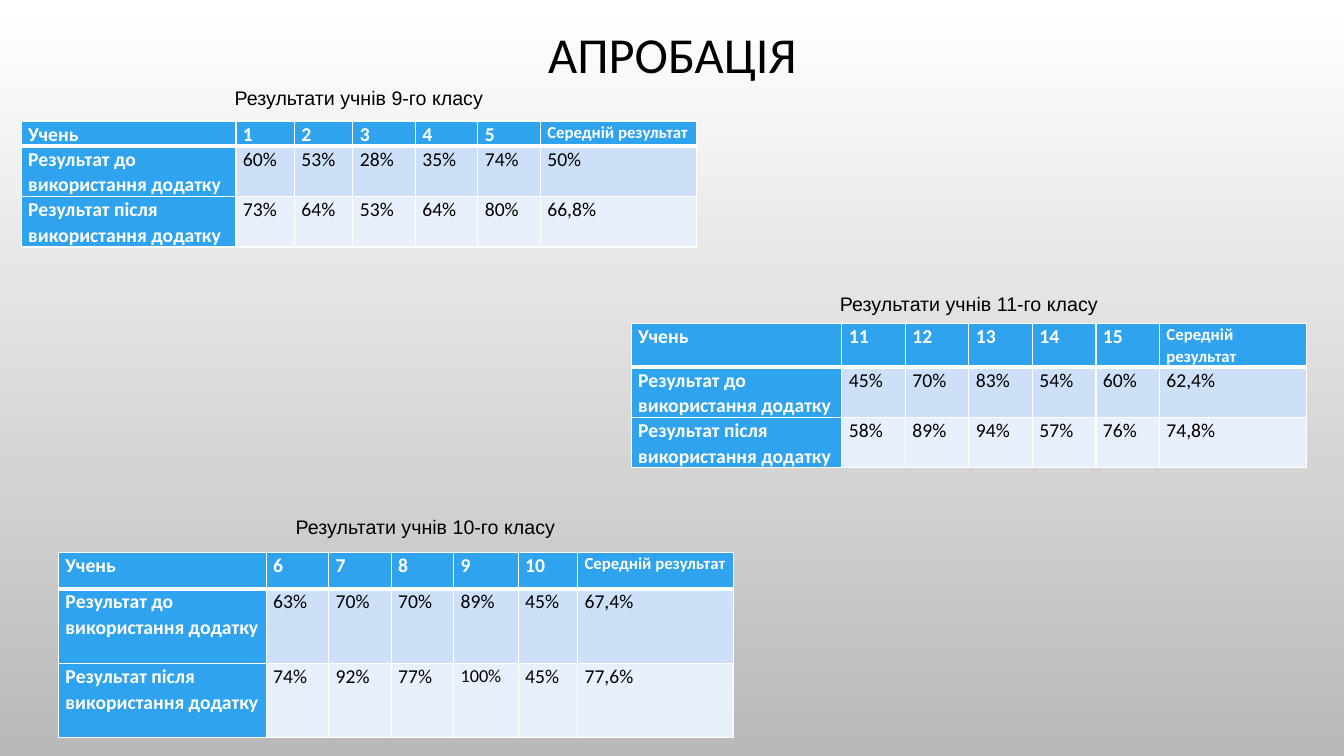
from dataclasses import dataclass

from lxml.etree import SubElement
from pptx import Presentation
from pptx.dml.color import RGBColor
from pptx.enum.text import MSO_ANCHOR, PP_ALIGN
from pptx.oxml.ns import qn
from pptx.util import Pt

TITLE = "АПРОБАЦІЯ"
STUDENT = "Учень"
AVERAGE = "Середній результат"
BEFORE = "Результат до використання додатку"
AFTER = "Результат після використання додатку"

CLASSES = [
    {
        "caption": "Результати учнів 9-го класу", "caption_center": (356, 97),
        "corner": (21, 120),
        "columns": [213, 58, 58, 62, 62, 62, 155], "rows": [25, 50, 50],
        "students": ["1", "2", "3", "4", "5"],
        "before": ["60%", "53%", "28%", "35%", "74%", "50%"],
        "after": ["73%", "64%", "53%", "64%", "80%", "66,8%"],
    },
    {
        "caption": "Результати учнів 10-го класу", "caption_center": (422, 523),
        "corner": (58, 548),
        "columns": [206, 62, 62, 62, 64, 59, 155], "rows": [36, 74, 74],
        "students": ["6", "7", "8", "9", "10"],
        "before": ["63%", "70%", "70%", "89%", "45%", "67,4%"],
        "after": ["74%", "92%", "77%", "100%", "45%", "77,6%"],
    },
    {
        "caption": "Результати учнів 11-го класу", "caption_center": (961, 301),
        "corner": (626, 321),
        "columns": [209, 63, 63, 63, 63, 63, 146], "rows": [43, 50, 50],
        "students": ["11", "12", "13", "14", "15"],
        "before": ["45%", "70%", "83%", "54%", "60%", "62,4%"],
        "after": ["58%", "89%", "94%", "57%", "76%", "74,8%"],
    },
]


@dataclass(frozen=True)
class Theme:
    black: str = "000000"
    white: str = "FFFFFF"
    backdrop_end: str = "B9B9B9"
    header: str = "2FA3EE"
    bands: tuple = ("CDE0F8", "E8F0FC")
    table_font: str = "Calibri"
    caption_font: str = "Arial"
    title_size: int = 36
    text_size: int = 14
    full_score_size: int = 13
    average_size: int = 12
    thin: int = 1
    thick: int = 3


THEME = Theme()


def px(length):
    """Convert px, at 100 to the inch, to EMU."""
    return length * 9144


def style_run(para, font, size, color, bold=False):
    span = para.runs[0]
    span.font.name = font
    span.font.size = Pt(size)
    span.font.bold = bold
    span.font.color.rgb = RGBColor.from_string(color)


def add_centered_text(page, text, center, size, font, points, wrap):
    (x, y), (width, height) = center, size
    box = page.shapes.add_textbox(px(x - width // 2), px(y - height // 2), px(width), px(height))
    frame = box.text_frame
    frame.text = text
    frame.word_wrap = wrap
    frame.vertical_anchor = MSO_ANCHOR.MIDDLE
    para = frame.paragraphs[0]
    para.alignment = PP_ALIGN.CENTER
    style_run(para, font, points, THEME.black)
    return para


def add_borders(cell, top, bottom):
    properties = cell._tc.get_or_add_tcPr()
    edges = {"lnL": THEME.thin, "lnR": THEME.thin, "lnT": top, "lnB": bottom}
    for edge, points in edges.items():
        line = SubElement(properties, qn(f"a:{edge}"), w=str(Pt(points)))
        fill = SubElement(line, qn("a:solidFill"))
        SubElement(fill, qn("a:srgbClr"), val=THEME.white)


def fill_cell(cell, text, row, column):
    is_heading = row == 0 or column == 0
    sizes = {AVERAGE: THEME.average_size, "100%": THEME.full_score_size}
    cell.margin_left = cell.margin_right = px(7)
    cell.margin_top = cell.margin_bottom = 0
    cell.text_frame.text = text
    para = cell.text_frame.paragraphs[0]
    para.line_spacing = 1.07
    para.space_after = Pt(6)
    style_run(para, THEME.table_font, sizes.get(text, THEME.text_size),
              THEME.white if is_heading else THEME.black, is_heading)
    add_borders(cell,
                top=THEME.thick if row == 1 else THEME.thin,
                bottom=THEME.thick if row == 0 else THEME.thin)
    cell.fill.solid()
    color = THEME.header if is_heading else THEME.bands[row - 1]
    cell.fill.fore_color.rgb = RGBColor.from_string(color)


def add_results(page, group):
    content = [
        [STUDENT, *group["students"], AVERAGE],
        [BEFORE, *group["before"]],
        [AFTER, *group["after"]],
    ]
    columns, rows = group["columns"], group["rows"]
    left, top = group["corner"]
    table = page.shapes.add_table(len(rows), len(columns), px(left), px(top),
                                  px(sum(columns)), px(sum(rows))).table
    table.first_col = True
    for column, width in zip(table.columns, columns):
        column.width = px(width)
    for row, height in zip(table.rows, rows):
        row.height = px(height)
    for row, texts in enumerate(content):
        for column, text in enumerate(texts):
            fill_cell(table.cell(row, column), text, row, column)
    add_centered_text(page, group["caption"], group["caption_center"], (300, 34),
                      THEME.caption_font, THEME.text_size, wrap=False)


def paint_background(page):
    fill = page.background.fill
    fill.gradient()
    fill.gradient_angle = 270
    for stop, color in zip(fill.gradient_stops, (THEME.white, THEME.backdrop_end)):
        stop.color.rgb = RGBColor.from_string(color)


def main():
    deck = Presentation()
    deck.slide_width, deck.slide_height = px(1333), px(750)
    page = deck.slides.add_slide(deck.slide_layouts[6])
    paint_background(page)
    title = add_centered_text(page, TITLE, (667, 57), (1150, 90),
                              THEME.table_font, THEME.title_size, wrap=True)
    title.line_spacing = 0.9
    for group in CLASSES:
        add_results(page, group)
    deck.save("out.pptx")


if __name__ == "__main__":
    main()
